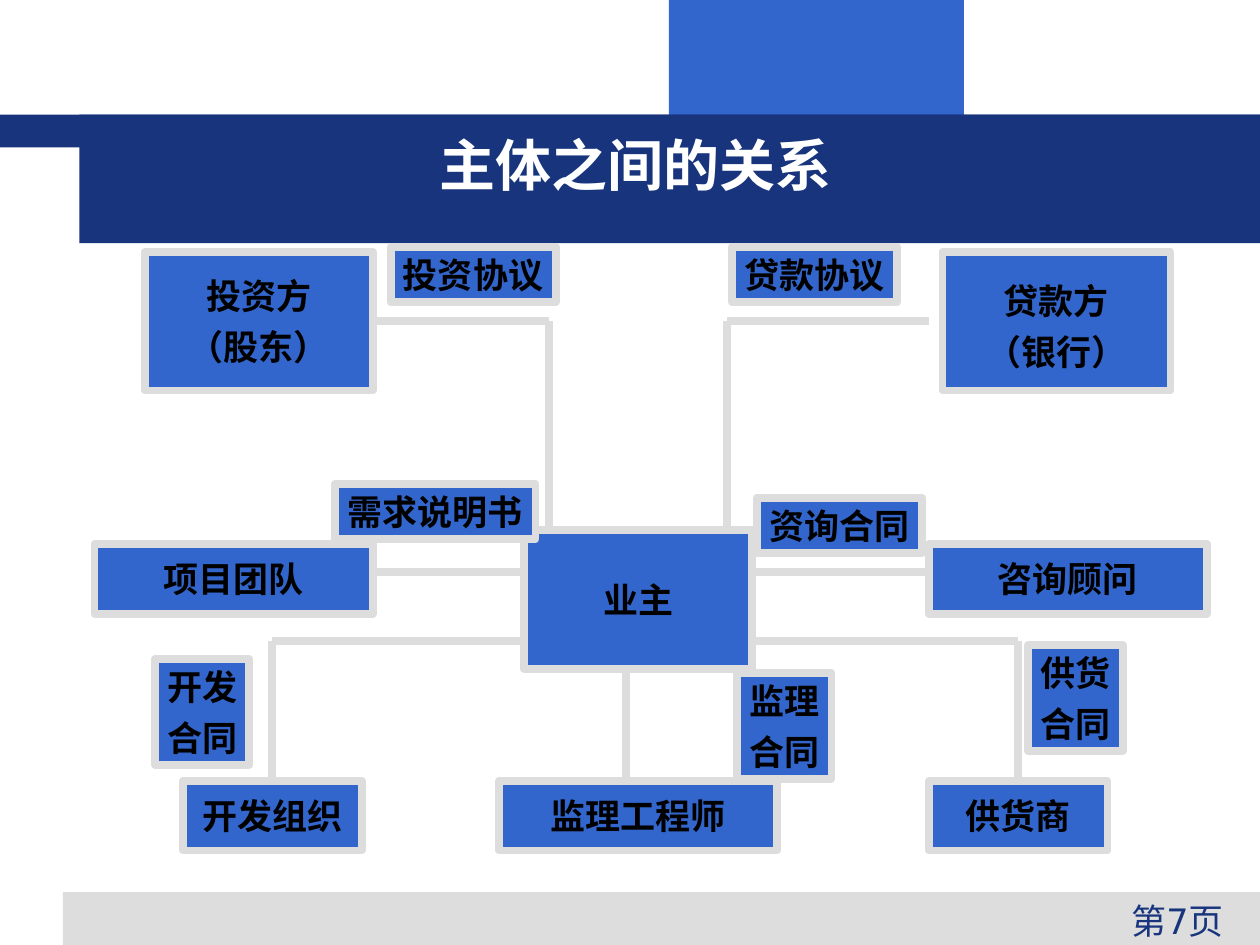
import pptx
import pptx.util
import pptx.dml.color
import pptx.enum.shapes
import pptx.enum.text
import pptx.oxml.ns
import lxml.etree

Inches = pptx.util.Inches
Pt = pptx.util.Pt
ALIGN = pptx.enum.text.PP_ALIGN
BLUE, NAVY, GREY = "3366CC", "17347D", "DDDDDD"


def paint(color_format, hex_color):
    color_format.rgb = pptx.dml.color.RGBColor.from_string(hex_color)


def write(shape, text, size=20, color="000000", bold=True, font="Roboto Condensed",
          align=ALIGN.CENTER, anchor=pptx.enum.text.MSO_ANCHOR.MIDDLE,
          before=5, wrap=False, top=0.05):
    frame = shape.text_frame
    frame.word_wrap = wrap
    frame.vertical_anchor = anchor
    frame.margin_top = Inches(top)
    frame.text = text
    for paragraph in frame.paragraphs:
        paragraph.alignment = align
        paragraph.space_before = Pt(before)
        paragraph.font.size = Pt(size)
        paragraph.font.bold = bold
        paragraph.font.name = font
        paint(paragraph.font.color, color)


presentation = pptx.Presentation()
presentation.slide_width = Inches(10)
presentation.slide_height = Inches(7.5)
slide = presentation.slides.add_slide(presentation.slide_layouts[6])
shapes = slide.shapes
RECTANGLE = pptx.enum.shapes.MSO_SHAPE.RECTANGLE

for left, top, width, height, color in [
    (5.31, 0, 2.34, 0.92, BLUE),
    (0.5, 7.08, 9.5, 0.42, GREY),
    (0, 0.91, 10, 0.26, NAVY),
    (0.63, 0.91, 9.37, 1.02, NAVY),
]:
    band = shapes.add_shape(RECTANGLE, Inches(left), Inches(top), Inches(width), Inches(height))
    band.shadow.inherit = False
    band.fill.solid()
    paint(band.fill.fore_color, color)
    band.line.fill.background()

page_number = shapes.add_textbox(Inches(6.34), Inches(7.09), Inches(3.47), Inches(0.41))
write(page_number, "第7页", color=NAVY, bold=False, font="DejaVu Sans", align=ALIGN.RIGHT,
      anchor=pptx.enum.text.MSO_ANCHOR.TOP, before=0, wrap=True)

parties = [
    ("业主", 4.16, 4.21, 1.81, 1.1),
    ("投资方\n（股东）", 1.15, 2, 1.81, 1.1),
    ("贷款方\n（银行）", 7.48, 2, 1.81, 1.1),
    ("咨询顾问", 7.37, 4.32, 2.21, 0.55),
    ("项目团队", 0.75, 4.32, 2.21, 0.55),
    ("监理工程师", 3.96, 6.2, 2.21, 0.55),
    ("供货商", 7.37, 6.2, 1.42, 0.55),
    ("开发组织", 1.45, 6.2, 1.42, 0.55),
]
contracts = [
    ("开发\n合同", 1.23, 5.23, 0.75, 0.84),
    ("监理\n合同", 5.85, 5.34, 0.75, 0.84),
    ("供货\n合同", 8.16, 5.12, 0.75, 0.84),
    ("资询合同", 6.01, 3.95, 1.31, 0.44),
    ("需求说明书", 2.66, 3.84, 1.59, 0.44),
    ("投资协议", 3.1, 1.96, 1.31, 0.44),
    ("贷款协议", 5.81, 1.96, 1.31, 0.44),
]
boxes = {}
for text, left, top, width, height in parties + contracts:
    box = shapes.add_shape(RECTANGLE, Inches(left), Inches(top), Inches(width), Inches(height))
    box.shadow.inherit = False
    box.fill.solid()
    paint(box.fill.fore_color, BLUE)
    paint(box.line.color, GREY)
    box.line.width = Pt(4.5)
    write(box, text, top=0.12 if text.startswith("贷款方") else 0.05)
    boxes[text] = box

first_contract = boxes[contracts[0][0]]
for x1, y1, x2, y2, start, end in [
    (2.96, 2.55, 4.36, 2.55, ("投资方\n（股东）", 3), None),
    (4.36, 2.55, 4.36, 4.21, None, None),
    (7.37, 2.55, 5.77, 2.55, None, None),
    (5.77, 2.55, 5.77, 4.21, None, None),
    (2.96, 4.54, 4.16, 4.54, None, None),
    (5.97, 4.54, 7.37, 4.54, None, None),
    (5.97, 5.09, 8.08, 5.09, None, None),
    (8.08, 5.09, 8.08, 6.2, None, ("供货商", 0)),
    (4.16, 5.09, 2.16, 5.09, None, None),
    (2.16, 5.09, 2.16, 6.2, None, ("开发组织", 0)),
    (4.97, 5.31, 4.97, 6.2, None, None),
]:
    connector = shapes.add_connector(pptx.enum.shapes.MSO_CONNECTOR.STRAIGHT,
                                     Inches(x1), Inches(y1), Inches(x2), Inches(y2))
    paint(connector.line.color, GREY)
    connector.line.width = Pt(4.5)
    lxml.etree.SubElement(connector._element.spPr, pptx.oxml.ns.qn("a:effectLst"))
    if start:
        connector.begin_connect(boxes[start[0]], start[1])
    if end:
        connector.end_connect(boxes[end[0]], end[1])
    first_contract._element.addprevious(connector._element)

title = shapes.add_textbox(Inches(3.22), Inches(0.95), Inches(3.65), Inches(0.7))
write(title, "主体之间的关系", size=32, color="FFFFFF", before=8)

presentation.save("out.pptx")
